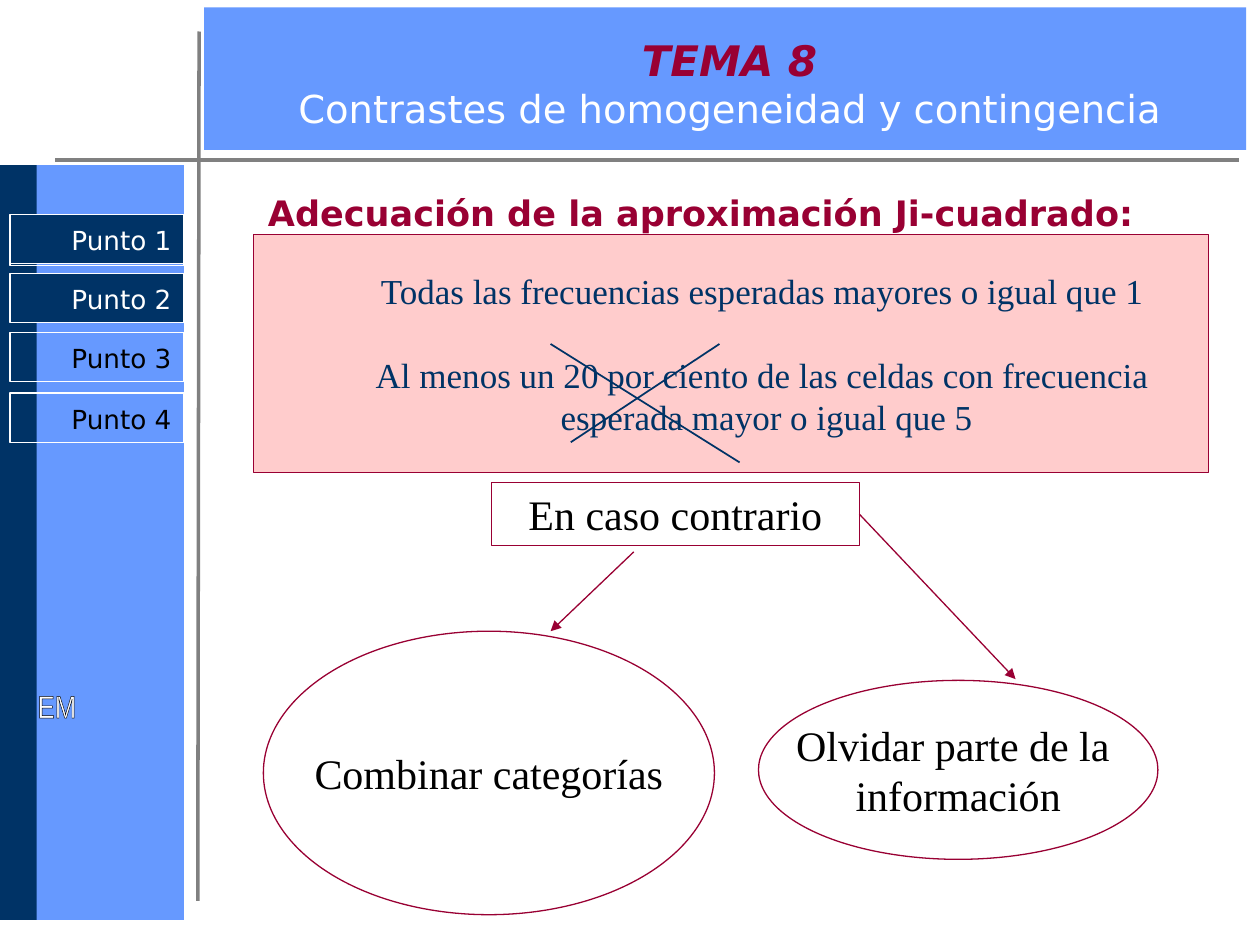
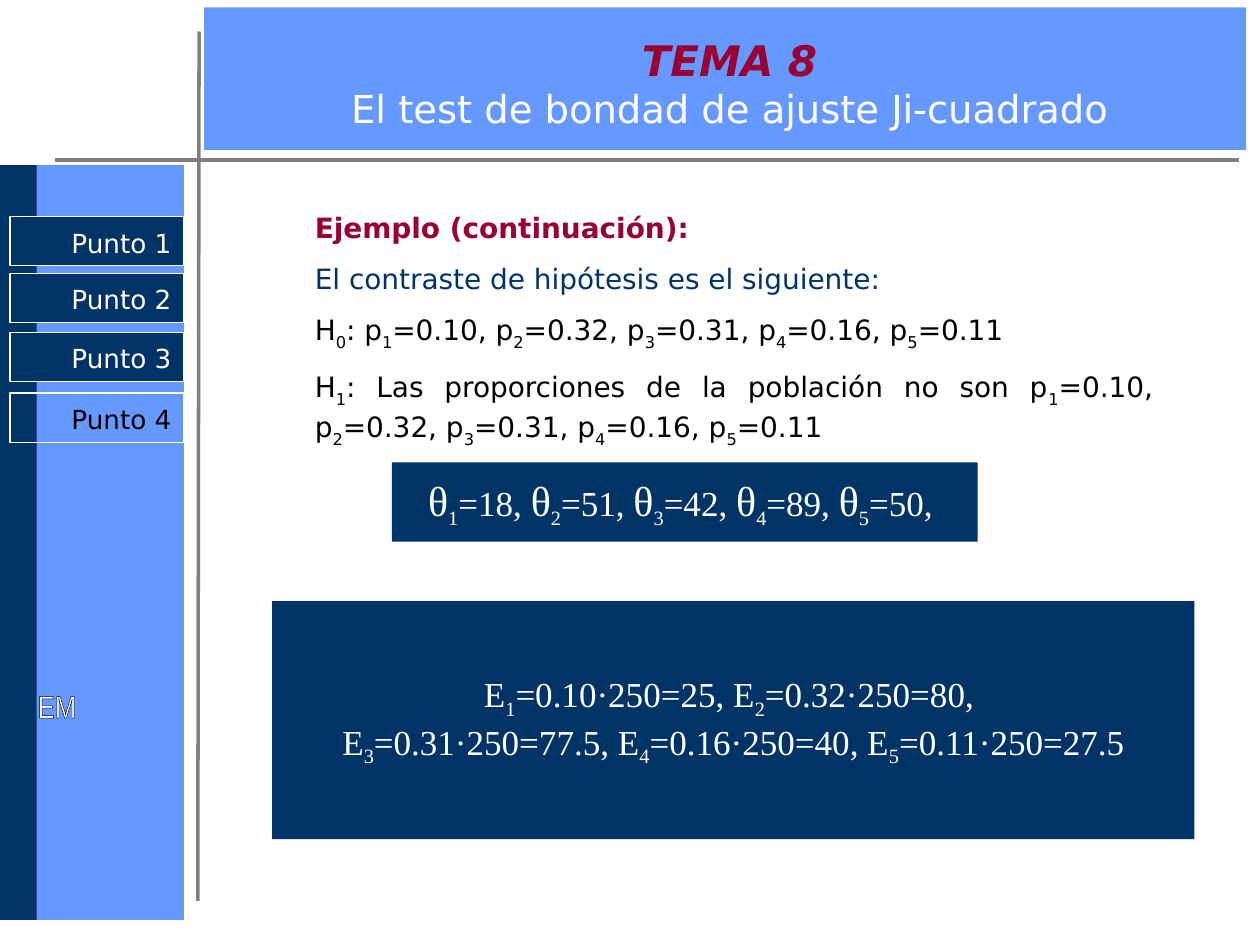
from lxml import etree
from pptx import Presentation
from pptx.dml.color import RGBColor
from pptx.enum.shapes import MSO_CONNECTOR, MSO_SHAPE
from pptx.enum.text import MSO_ANCHOR, MSO_AUTO_SIZE, PP_ALIGN
from pptx.oxml.ns import qn
from pptx.util import Pt

RECTANGLE, ELLIPSE = MSO_SHAPE.RECTANGLE, MSO_SHAPE.OVAL
STRAIGHT = MSO_CONNECTOR.STRAIGHT
CENTER, RIGHT, JUSTIFY = PP_ALIGN.CENTER, PP_ALIGN.RIGHT, PP_ALIGN.JUSTIFY
TOP, MIDDLE = MSO_ANCHOR.TOP, MSO_ANCHOR.MIDDLE
RIGHT_SIDE = 3

BLUE = RGBColor(0x66, 0x99, 0xFF)
NAVY = RGBColor(0x00, 0x33, 0x66)
GREY = RGBColor(0x80, 0x80, 0x80)
GARNET = RGBColor(0x99, 0x00, 0x33)
PINK = RGBColor(0xFF, 0xCC, 0xCC)
WHITE = RGBColor(0xFF, 0xFF, 0xFF)
BLACK = RGBColor(0x00, 0x00, 0x00)

SANS, SERIF, NARROW = "DejaVu Sans", "Times New Roman", "Arial Narrow"
TITLE_AND_BODY, TITLE_ONLY = 1, 5
MENU_TOPS = (123.84, 156.24, 190.08, 224.64)

PROPORTIONS = ("0.10", "0.32", "0.31", "0.16", "0.11")
OBSERVED = (18, 51, 42, 89, 50)


def place(shape, left, top, width, height):
    shape.left, shape.top = Pt(left), Pt(top)
    shape.width, shape.height = Pt(width), Pt(height)


def format_span(span, font, size, color, bold=False, italic=False):
    span.font.name = font
    span.font.size = Pt(size)
    span.font.color.rgb = color
    span.font.bold = bold
    span.font.italic = italic


def add_span(para, text, font, size, color, bold=False, baseline=0):
    """Add a run; baseline is its shift in percent, negative for a subscript."""
    span = para.add_run()
    span.text = text
    format_span(span, font, size, color, bold)
    if baseline:
        span.font._element.set("baseline", str(baseline * 1000))


def add_indexed_text(para, text, font, size, color, bold=False, baseline=-25):
    """Write text in which the digit after each underscore is a subscript."""
    first, *others = text.split("_")
    add_span(para, first, font, size, color, bold)
    for piece in others:
        add_span(para, piece[0], font, size, color, bold, baseline)
        if piece[1:]:
            add_span(para, piece[1:], font, size, color, bold)


def add_box(slide, bounds, fill=None, line=None, kind=RECTANGLE):
    box = slide.shapes.add_shape(kind, *map(Pt, bounds))
    box.shadow.inherit = False
    if fill is None:
        box.fill.background()
    else:
        box.fill.solid()
        box.fill.fore_color.rgb = fill
    if line is None:
        box.line.fill.background()
    else:
        box.line.color.rgb = line
        box.line.width = Pt(0.75)
    return box


def write_lines(box, lines, font, size, color, align=CENTER, anchor=MIDDLE):
    frame = box.text_frame
    frame.word_wrap = False
    frame.vertical_anchor = anchor
    for number, line in enumerate(lines):
        para = frame.add_paragraph() if number else frame.paragraphs[0]
        para.alignment = align
        add_indexed_text(para, line, font, size, color)
    return frame


def add_line(slide, start, end, color, width, arrow=False):
    line = slide.shapes.add_connector(STRAIGHT, *map(Pt, start + end))
    line.line.color.rgb = color
    line.line.width = Pt(width)
    if arrow:
        etree.SubElement(line.line._get_or_add_ln(), qn("a:tailEnd"), type="triangle")
    etree.SubElement(line._element.spPr, qn("a:effectLst"))
    return line


def add_menu(slide, tops, covered):
    """Draw the side menu; the first `covered` entries are highlighted."""
    for number, top in enumerate(tops, 1):
        done = number <= covered
        box = add_box(slide, (5.76, top, 99.36, 28.08), NAVY if done else None, WHITE)
        frame = write_lines(box, [f"Punto {number}"], SANS, 15,
                            WHITE if done else BLACK, RIGHT, TOP)
        frame.margin_top = Pt(5.76)


def add_initials(slide):
    box = slide.shapes.add_textbox(Pt(14.4), Pt(388.8), Pt(131.76), Pt(131.04))
    frame = write_lines(box, ["EM"], NARROW, 18, WHITE, None, TOP)
    properties = frame.paragraphs[0].runs[0].font._element
    outline = etree.Element(qn("a:ln"), w=str(Pt(0.75)))
    fill = etree.SubElement(outline, qn("a:solidFill"))
    etree.SubElement(fill, qn("a:srgbClr"), val=str(BLACK))
    properties.insert(0, outline)


def add_frame(slide):
    """Draw the bands and rules that every slide shares."""
    add_box(slide, (19.44, 94.32, 85.68, 431.28), BLUE)
    add_box(slide, (0, 94.32, 20.88, 431.28), NAVY)
    add_box(slide, (116.64, 4.32, 595.44, 81.36), BLUE)
    add_line(slide, (31.68, 91.44), (707.76, 91.44), GREY, 2)
    add_line(slide, (113.04, 514.8), (113.76, 18), GREY, 2)
    add_initials(slide)


def set_title(slide, subtitle):
    title = slide.shapes.title
    slide.shapes._spTree.append(title._element)
    place(title, 123.12, 19.44, 587.52, 55.44)
    frame = title.text_frame
    frame.auto_size = MSO_AUTO_SIZE.NONE
    frame.vertical_anchor = MIDDLE
    para = frame.paragraphs[0]
    para.text = f"TEMA 8\v{subtitle}"
    para.alignment = CENTER
    topic, heading = para.runs
    format_span(topic, SANS, 24, GARNET, bold=True, italic=True)
    format_span(heading, SANS, 22, WHITE)


def set_body_heading(slide, text):
    body = slide.placeholders[1]
    place(body, 138.96, 105.84, 551.52, 398.88)
    body.text_frame.auto_size = MSO_AUTO_SIZE.NONE
    para = body.text_frame.paragraphs[0]
    para.text = text
    para.alignment = JUSTIFY
    para.space_before = Pt(0)
    properties = para._p.get_or_add_pPr()
    properties.set("marL", "0")
    properties.set("indent", "0")
    etree.SubElement(properties, qn("a:buNone"))
    format_span(para.runs[0], SANS, 20, GARNET, bold=True)


def start_slide(deck, layout, subtitle):
    slide = deck.slides.add_slide(deck.slide_layouts[layout])
    add_frame(slide)
    set_title(slide, subtitle)
    return slide


def build_adequacy_slide(deck):
    slide = start_slide(deck, TITLE_AND_BODY, "Contrastes de homogeneidad y contingencia")
    set_body_heading(slide, " Adecuación de la aproximación Ji-cuadrado:")

    conditions = add_box(slide, (144.72, 133.92, 545.76, 136.08), PINK, GARNET)
    frame = write_lines(conditions, [
        "Todas las frecuencias esperadas mayores o igual que 1",
        "Al menos un 20 por ciento de las celdas con frecuencia",
        " esperada mayor o igual que 5"], SERIF, 20, NAVY)
    for para in frame.paragraphs:
        para._p.get_or_add_pPr().set("marL", str(Pt(36)))
    frame.paragraphs[1].space_before = Pt(24)

    for bounds, lines in (
            ((150.48, 360.72, 257.76, 162), ["Combinar categorías"]),
            ((433.44, 388.8, 228.24, 102.24), ["Olvidar parte de la ", "información"])):
        option = add_box(slide, bounds, line=GARNET, kind=ELLIPSE)
        write_lines(option, lines, SERIF, 24, BLACK)

    otherwise = add_box(slide, (280.8, 275.76, 210.24, 36), line=GARNET)
    write_lines(otherwise, ["En caso contrario"], SERIF, 24, BLACK)
    add_line(slide, (362.16, 315.36), (314.64, 360.72), GARNET, 0.75, arrow=True)
    to_forget = add_line(slide, (491.04, 293.76), (580.32, 388.08), GARNET, 0.75, arrow=True)
    to_forget.begin_connect(otherwise, RIGHT_SIDE)

    add_line(slide, (314.64, 196.56), (422.64, 264.24), NAVY, 1)
    add_line(slide, (411.12, 196.56), (326.16, 252.72), NAVY, 1)

    add_box(slide, (5.76, MENU_TOPS[0], 99.36, 28.08), line=WHITE)
    add_menu(slide, (122.4, *MENU_TOPS[1:]), covered=2)


def build_example_slide(deck):
    slide = start_slide(deck, TITLE_ONLY, "El test de bondad de ajuste Ji-cuadrado")
    hypothesis = ", ".join(f"p_{i}={p}" for i, p in enumerate(PROPORTIONS, 1))
    box = slide.shapes.add_textbox(Pt(172.8), Pt(116.64), Pt(493.2), Pt(202.32))
    frame = box.text_frame
    frame.word_wrap = True
    paragraphs = (
        ("Ejemplo (continuación):", GARNET, True),
        ("El contraste de hipótesis es el siguiente:", NAVY, False),
        (f"H_0: {hypothesis}", BLACK, False),
        (f"H_1: Las proporciones de la población no son {hypothesis}", BLACK, False))
    for number, (text, color, bold) in enumerate(paragraphs):
        para = frame.add_paragraph() if number else frame.paragraphs[0]
        para.alignment = JUSTIFY
        if number:
            para.space_before = Pt(10)
        add_indexed_text(para, text, SANS, 16, color, bold, baseline=-30)

    add_menu(slide, MENU_TOPS, covered=3)

    observed = add_box(slide, (223.92, 264.24, 334.8, 45.36), NAVY)
    frame = write_lines(observed, [], SERIF, 20, WHITE)
    para = frame.paragraphs[0]
    para.alignment = CENTER
    for number, count in enumerate(OBSERVED, 1):
        add_span(para, "θ", SERIF, 24, WHITE)
        add_span(para, str(number), SERIF, 20, WHITE, baseline=-25)
        add_span(para, f"={count}, ", SERIF, 20, WHITE)

    expected = add_box(slide, (155.52, 343.44, 527.04, 136.08), NAVY)
    write_lines(expected, [
        "E_1=0.10·250=25, E_2=0.32·250=80, ",
        "E_3=0.31·250=77.5, E_4=0.16·250=40, E_5=0.11·250=27.5"], SERIF, 20, WHITE)


def main():
    deck = Presentation()
    deck.slide_width, deck.slide_height = Pt(720), Pt(540)
    build_adequacy_slide(deck)
    build_example_slide(deck)
    deck.save("out.pptx")


if __name__ == "__main__":
    main()
